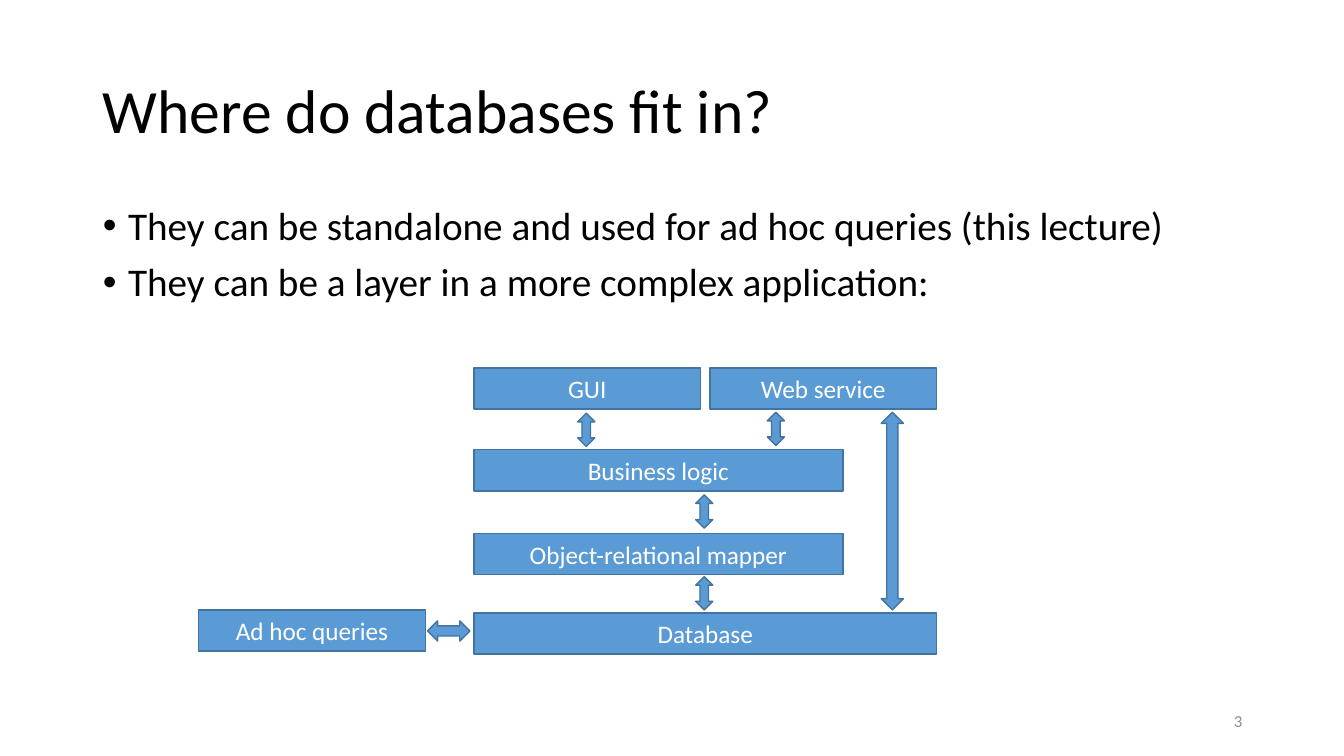
from lxml.etree import SubElement
from pptx import Presentation
from pptx.dml.color import RGBColor
from pptx.enum.shapes import MSO_SHAPE
from pptx.enum.text import MSO_ANCHOR, MSO_AUTO_SIZE, PP_ALIGN
from pptx.oxml.ns import qn
from pptx.util import Pt

PX = 9144
FONT = "Calibri"
BLACK = RGBColor(0x00, 0x00, 0x00)
WHITE = RGBColor(0xFF, 0xFF, 0xFF)
GRAY = RGBColor(0x8C, 0x8C, 0x8C)
BLUE = RGBColor(0x5B, 0x9B, 0xD5)
DARK_BLUE = RGBColor(0x43, 0x73, 0x9E)

LAYER_LEFT = 470
LAYER_HEIGHT = 41
LAYERS = [
    ("Database", LAYER_LEFT, 608, 459),
    ("Object-relational mapper", LAYER_LEFT, 529, 366),
    ("Business logic", LAYER_LEFT, 446, 366),
    ("Web service", 704, 365, 225),
    ("GUI", LAYER_LEFT, 365, 225),
    ("Ad hoc queries", 197, 605, 225),
]
VERTICAL_ARROWS = [
    (690, 572, 17, 33),
    (690, 491, 17, 33),
    (573, 410, 17, 33),
    (761, 409, 17, 33),
    (874, 409, 22, 196),
]
BULLETS = [
    "They can be standalone and used for ad hoc queries (this lecture)",
    "They can be a layer in a more complex application:",
]


def px(*lengths):
    return [n * PX for n in lengths]


def place(sp, *box):
    sp.left, sp.top, sp.width, sp.height = px(*box)


def format_text(tf, size, color, align, anchor=MSO_ANCHOR.MIDDLE):
    tf.word_wrap = True
    tf.auto_size = MSO_AUTO_SIZE.NONE
    tf.vertical_anchor = anchor
    for p in tf.paragraphs:
        p.alignment = align
        for r in p.runs:
            r.font.size = Pt(size)
            r.font.name = FONT
            r.font.color.rgb = color


def add_bullet(p):
    p.line_spacing = 0.9
    p.space_before = Pt(10)
    p.space_after = Pt(0)
    pPr = p._p.get_or_add_pPr()
    pPr.set("marL", str(25 * PX))
    pPr.set("indent", str(-25 * PX))
    SubElement(pPr, qn("a:buFont")).set("typeface", "Arial")
    SubElement(pPr, qn("a:buChar")).set("char", "•")


def add_title(s, text):
    sp = s.shapes.title
    place(sp, 92, 40, 1150, 145)
    sp.text_frame.text = text
    sp.text_frame.paragraphs[0].line_spacing = 0.9
    format_text(sp.text_frame, 44, BLACK, PP_ALIGN.LEFT)


def add_body(s, lines):
    sp = s.placeholders[1]
    place(sp, 92, 200, 1150, 476)
    tf = sp.text_frame
    tf.text = "\n".join(lines)
    format_text(tf, 28, BLACK, PP_ALIGN.LEFT, MSO_ANCHOR.TOP)
    for p in tf.paragraphs:
        add_bullet(p)


def add_blue_shape(s, kind, *box):
    sp = s.shapes.add_shape(kind, *px(*box))
    sp.shadow.inherit = False
    sp.fill.solid()
    sp.fill.fore_color.rgb = BLUE
    sp.line.color.rgb = DARK_BLUE
    sp.line.width = Pt(1)
    return sp


def add_layer(s, text, left, top, width):
    sp = add_blue_shape(s, MSO_SHAPE.RECTANGLE, left, top, width, LAYER_HEIGHT)
    sp.text_frame.text = text
    format_text(sp.text_frame, 18, WHITE, PP_ALIGN.CENTER)


def add_slide_number(s, number):
    tf = s.shapes.add_textbox(*px(942, 695, 300, 40)).text_frame
    tf.text = str(number)
    format_text(tf, 12, GRAY, PP_ALIGN.RIGHT)


def main():
    prs = Presentation()
    prs.slide_width, prs.slide_height = px(1333, 750)
    s = prs.slides.add_slide(prs.slide_layouts[1])
    add_title(s, "Where do databases fit in?")
    add_body(s, BULLETS)
    for layer in LAYERS:
        add_layer(s, *layer)
    for box in VERTICAL_ARROWS:
        add_blue_shape(s, MSO_SHAPE.UP_DOWN_ARROW, *box)
    add_blue_shape(s, MSO_SHAPE.LEFT_RIGHT_ARROW, 424, 616, 42, 20)
    add_slide_number(s, 3)
    prs.save("out.pptx")


if __name__ == "__main__":
    main()
